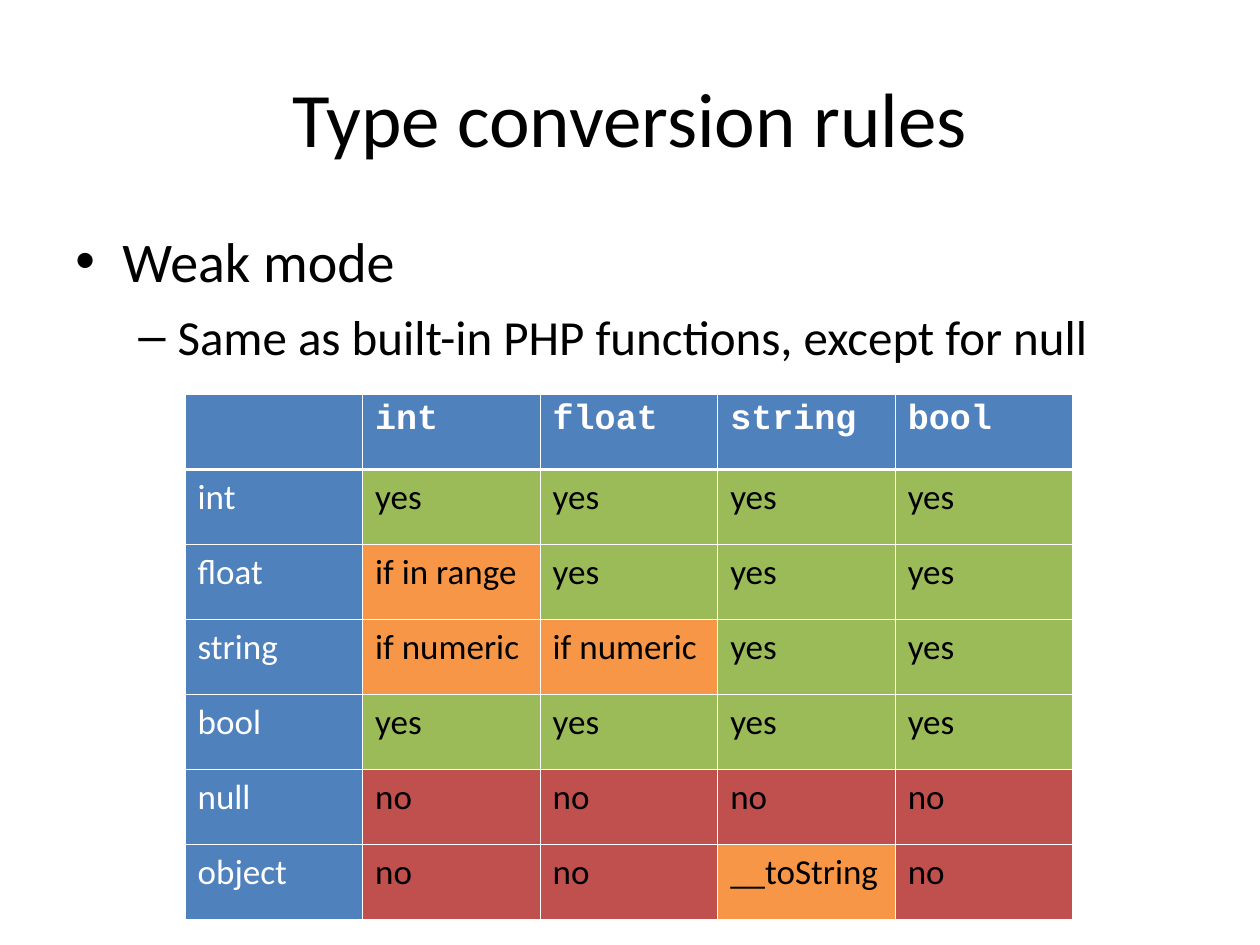
from dataclasses import dataclass

from lxml.etree import SubElement
from pptx import Presentation
from pptx.dml.color import RGBColor
from pptx.enum.text import MSO_ANCHOR, PP_ALIGN
from pptx.oxml.ns import qn
from pptx.util import Cm, Pt

TITLE = "Type conversion rules"
BULLETS = [
    dict(text="Weak mode", char="•", size=32, left=0.95, hang=0.95, before=0),
    dict(text="Same as built-in PHP functions, except for null", char="–",
         size=28, left=2.06, hang=0.79, before=7),
]
ROWS = [
    ["", "int", "float", "string", "bool"],
    ["int", "yes", "yes", "yes", "yes"],
    ["float", "if in range", "yes", "yes", "yes"],
    ["string", "if numeric", "if numeric", "yes", "yes"],
    ["bool", "yes", "yes", "yes", "yes"],
    ["null", "no", "no", "no", "no"],
    ["object", "no", "no", "__toString", "no"],
]


@dataclass(frozen=True)
class Theme:
    body: str = "Calibri"
    code: str = "Courier New"
    ink: str = "000000"
    white: str = "FFFFFF"
    label: str = "4F81BD"
    yes: str = "9BBB59"
    no: str = "C0504D"
    partial: str = "F79646"
    title_size: int = 44
    cell_size: int = 20
    thin: float = 0.45
    thick: float = 1.47


THEME = Theme()
ANSWER_FILLS = {"yes": THEME.yes, "no": THEME.no}


def write(p, text, *, size, font=THEME.body, color=THEME.ink, bold=False):
    r = p.add_run()
    r.text = text
    r.font.name = font
    r.font.size = Pt(size)
    r.font.bold = bold
    r.font.color.rgb = RGBColor.from_string(color)


def set_bullet(p, char, left, hang):
    pPr = p._p.get_or_add_pPr()
    pPr.set("marL", str(Cm(left)))
    pPr.set("indent", str(-Cm(hang)))
    color = SubElement(pPr, qn("a:buClr"))
    SubElement(color, qn("a:srgbClr"), val=THEME.ink)
    SubElement(pPr, qn("a:buFont"), typeface="Arial")
    SubElement(pPr, qn("a:buChar"), char=char)


def set_borders(cell, widths):
    tcPr = cell._tc.get_or_add_tcPr()
    for side, width in widths.items():
        ln = SubElement(tcPr, qn(f"a:ln{side}"), w=str(Pt(width)))
        fill = SubElement(ln, qn("a:solidFill"))
        SubElement(fill, qn("a:srgbClr"), val=THEME.white)


def add_title(slide):
    sp = slide.shapes.title
    sp.left, sp.top, sp.width, sp.height = Cm(1.27), Cm(0.76), Cm(22.86), Cm(3.18)
    tf = sp.text_frame
    tf.vertical_anchor = MSO_ANCHOR.MIDDLE
    p = tf.paragraphs[0]
    p.alignment = PP_ALIGN.CENTER
    write(p, TITLE, size=THEME.title_size)


def add_bullets(slide):
    sp = slide.shapes.add_textbox(Cm(1.27), Cm(4.45), Cm(22.86), Cm(12.57))
    tf = sp.text_frame
    tf.word_wrap = True
    for i, item in enumerate(BULLETS):
        p = tf.add_paragraph() if i else tf.paragraphs[0]
        set_bullet(p, item["char"], item["left"], item["hang"])
        if item["before"]:
            p.space_before = Pt(item["before"])
        write(p, item["text"], size=item["size"])


def add_rules_table(slide):
    n_rows, n_cols = len(ROWS), len(ROWS[0])
    table = slide.shapes.add_table(n_rows, n_cols, Cm(3.73), Cm(7.95),
                                   Cm(17.9), Cm(10.59)).table
    for i, row in enumerate(ROWS):
        for j, text in enumerate(row):
            cell = table.cell(i, j)
            is_header, is_label = i == 0, i == 0 or j == 0
            set_borders(cell, {
                "L": THEME.thin, "R": THEME.thin,
                "T": THEME.thick if i == 1 else THEME.thin,
                "B": THEME.thick if is_header else THEME.thin,
            })
            fill = THEME.label if is_label else ANSWER_FILLS.get(text, THEME.partial)
            cell.fill.solid()
            cell.fill.fore_color.rgb = RGBColor.from_string(fill)
            if text:
                write(cell.text_frame.paragraphs[0], text, size=THEME.cell_size,
                      font=THEME.code if is_header else THEME.body,
                      color=THEME.white if is_label else THEME.ink, bold=is_header)


def main():
    prs = Presentation()
    prs.slide_width, prs.slide_height = Cm(25.4), Cm(19.05)
    slide = prs.slides.add_slide(prs.slide_layouts[5])
    add_title(slide)
    add_bullets(slide)
    add_rules_table(slide)
    prs.save("out.pptx")


if __name__ == "__main__":
    main()
